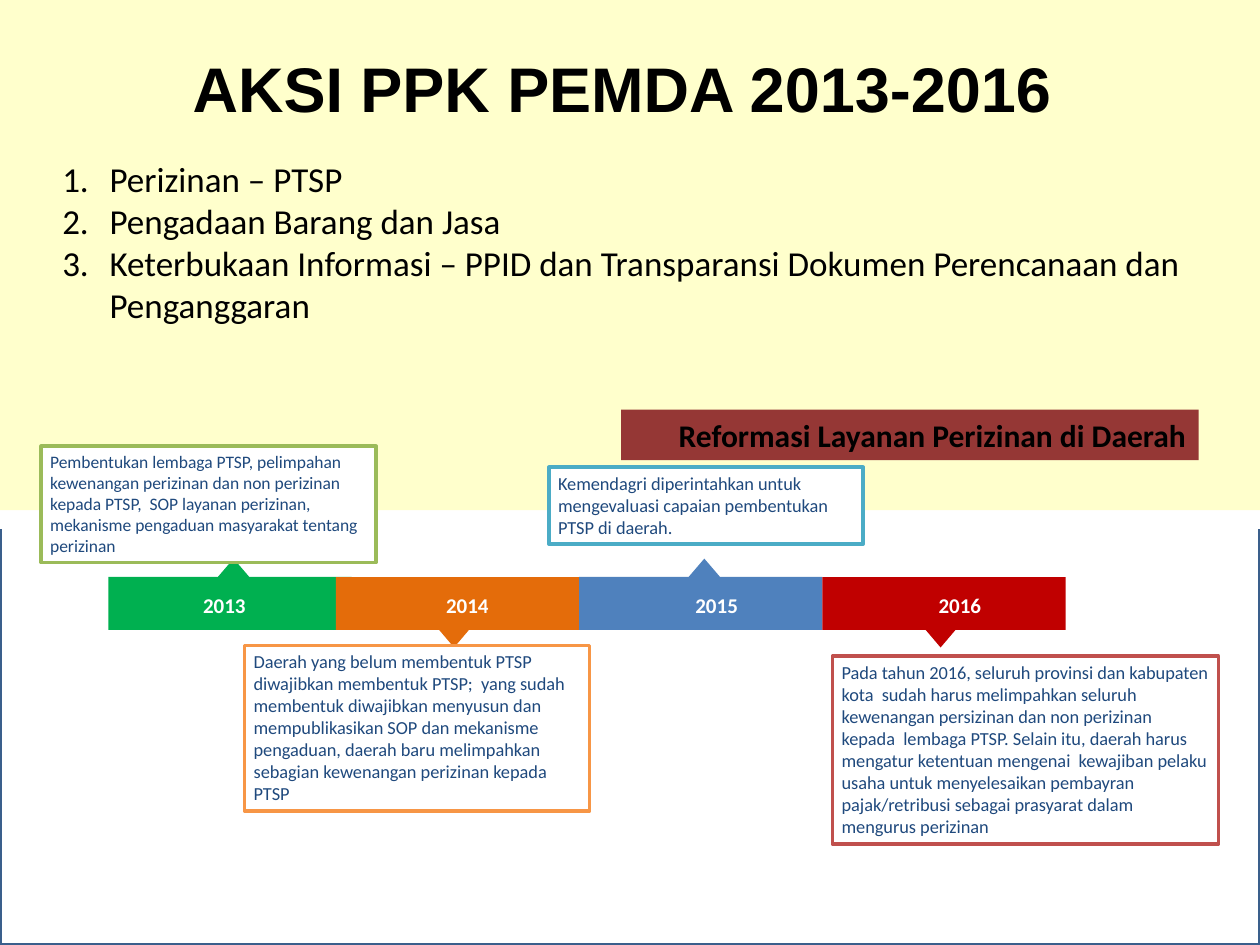
from pptx import Presentation
from pptx.dml.color import RGBColor as RGB
from pptx.enum.shapes import MSO_SHAPE as Form
from pptx.enum.text import MSO_ANCHOR as Anchor, PP_ALIGN as Align
from pptx.oxml.ns import qn
from pptx.util import Pt
from lxml.etree import SubElement as Sub


def color(code):
    return RGB.from_string(code)


class Deck:
    font = "Calibri"
    wide, high = 720, 540
    pad = 7.2, 3.6

    def __init__(self):
        self.prs = Presentation()
        self.prs.slide_width, self.prs.slide_height = Pt(self.wide), Pt(self.high)
        self.slide = self.prs.slides.add_slide(self.prs.slide_layouts[6])

    def paint(self, shape, fill, line=None, width=2):
        shape.shadow.inherit = False
        shape.fill.solid()
        shape.fill.fore_color.rgb = color(fill)
        if line:
            shape.line.color.rgb = color(line)
            shape.line.width = Pt(width)
        else:
            shape.line.fill.background()
        return shape

    def rect(self, box, fill, line=None, width=2):
        shape = self.slide.shapes.add_shape(Form.RECTANGLE, *map(Pt, box))
        return self.paint(shape, fill, line, width)

    def label(self, shape, lines, size, ink="000000", bold=False,
              align=Align.LEFT, font=None, pad=None):
        frame = shape.text_frame
        frame.word_wrap = True
        frame.vertical_anchor = Anchor.TOP
        side, top = pad or self.pad
        frame.margin_left = frame.margin_right = Pt(side)
        frame.margin_top = frame.margin_bottom = Pt(top)
        frame.text = "\n".join(lines)
        for para in frame.paragraphs:
            para.alignment = align
            for run in para.runs:
                run.font.name = font or self.font
                run.font.size = Pt(size)
                run.font.bold = bold
                run.font.color.rgb = color(ink)
        return frame

    def text(self, box, lines, size, **look):
        shape = self.slide.shapes.add_textbox(*map(Pt, box))
        return self.label(shape, lines, size, **look)

    def listing(self, box, lines, size, indent):
        for para in self.text(box, lines, size).paragraphs:
            props = para._p.get_or_add_pPr()
            props.set("marL", str(Pt(indent)))
            props.set("indent", str(-Pt(indent)))
            Sub(props, qn("a:buFont"), typeface="+mj-lt")
            Sub(props, qn("a:buAutoNum"), type="arabicPeriod")

    def band(self, left, top, width, height, fill, up):
        """A bar with a small pointer on its upper or lower edge."""
        right, low = left + width, top + height
        if up:
            tip = left + 71.5
            dots = [(tip, top - 10.5), (tip + 9, top), (right, top),
                    (right, low), (left, low), (left, top), (tip - 9, top)]
        else:
            tip = left + 67.5
            dots = [(left, top), (right, top), (right, low), (tip + 8.5, low),
                    (tip, low + 10), (tip - 8.5, low), (left, low)]
        dots = [(Pt(x), Pt(y)) for x, y in dots]
        shape = self.slide.shapes.build_freeform(*dots[0])
        shape.add_line_segments(dots[1:], close=True)
        self.paint(shape.convert_to_shape(), fill)

    def note(self, box, line, size, words):
        shape = self.rect(box, "FFFFFF", line)
        self.label(shape, [words], size, ink="1F497D", pad=(5.2, 2.6))

    def save(self):
        self.prs.save("out.pptx")


# left, fill, pointer up, label left, label width
YEARS = {
    "2013": (62, "00B050", True, 64.5, 127.5),
    "2014": (192, "E46C0A", False, 194.5, 145),
    "2015": (331, "4F81BD", True, 337, 145),
    "2016": (470, "C00000", False, 476, 145),
}

# box, line, size, words
NOTES = [
    ((23.5, 255, 191.5, 66.5), "9BBB59", 10,
     "Pembentukan lembaga PTSP, pelimpahan kewenangan perizinan dan non "
     "perizinan kepada PTSP,  SOP layanan perizinan, mekanisme pengaduan "
     "masyarakat tentang perizinan"),
    ((139.75, 369, 197.25, 94.5), "F79646", 10.5,
     "Daerah yang belum membentuk PTSP diwajibkan membentuk PTSP;  yang sudah "
     "membentuk diwajibkan menyusun dan mempublikasikan SOP dan mekanisme "
     "pengaduan, daerah baru melimpahkan sebagian kewenangan perizinan kepada PTSP"),
    ((313.75, 267, 179.5, 44), "4BACC6", 10.5,
     "Kemendagri diperintahkan untuk mengevaluasi capaian pembentukan PTSP di daerah."),
    ((475.75, 375, 220.5, 107.5), "C0504D", 10.5,
     "Pada tahun 2016, seluruh provinsi dan kabupaten kota  sudah harus "
     "melimpahkan seluruh kewenangan persizinan dan non perizinan kepada  "
     "lembaga PTSP. Selain itu, daerah harus mengatur ketentuan mengenai  "
     "kewajiban pelaku usaha untuk menyelesaikan pembayran pajak/retribusi "
     "sebagai prasyarat dalam  mengurus perizinan"),
]


def main():
    deck = Deck()

    # Backdrop
    deck.rect((0, 298, 720, 242), "FFFFFF", "3A5F8C")
    deck.rect((0, 289.5, 720, 11), "FFFFFF", "FFFFFF", 4)
    deck.rect((0, 0, 720, 291.5), "FFFFCC")

    # Title and list
    deck.text((67.5, 24.5, 576, 51), ["AKSI PPK PEMDA 2013-2016"], 36,
              bold=True, align=Align.CENTER, font="Arial")
    deck.listing((28.5, 86.5, 675, 104.5), [
        "Perizinan – PTSP",
        "Pengadaan Barang dan Jasa",
        "Keterbukaan Informasi – PPID dan Transparansi Dokumen Perencanaan "
        "dan Penganggaran",
    ], 20, 27)

    # Timeline bars, notes, then year labels on top
    for left, fill, up, _, _ in YEARS.values():
        deck.band(left, 329.75, 139, 30.25, fill, up)
    for note in NOTES:
        deck.note(*note)
    for year, (_, _, _, left, width) in YEARS.items():
        deck.text((left, 335, width, 21.5), [year], 12, ink="FFFFFF",
                  bold=True, align=Align.CENTER)

    # Timeline heading
    head = deck.rect((355, 234, 330, 29), "953735")
    deck.label(head, ["Reformasi Layanan Perizinan di Daerah"], 18,
               bold=True, align=Align.RIGHT)

    deck.save()


if __name__ == "__main__":
    main()
